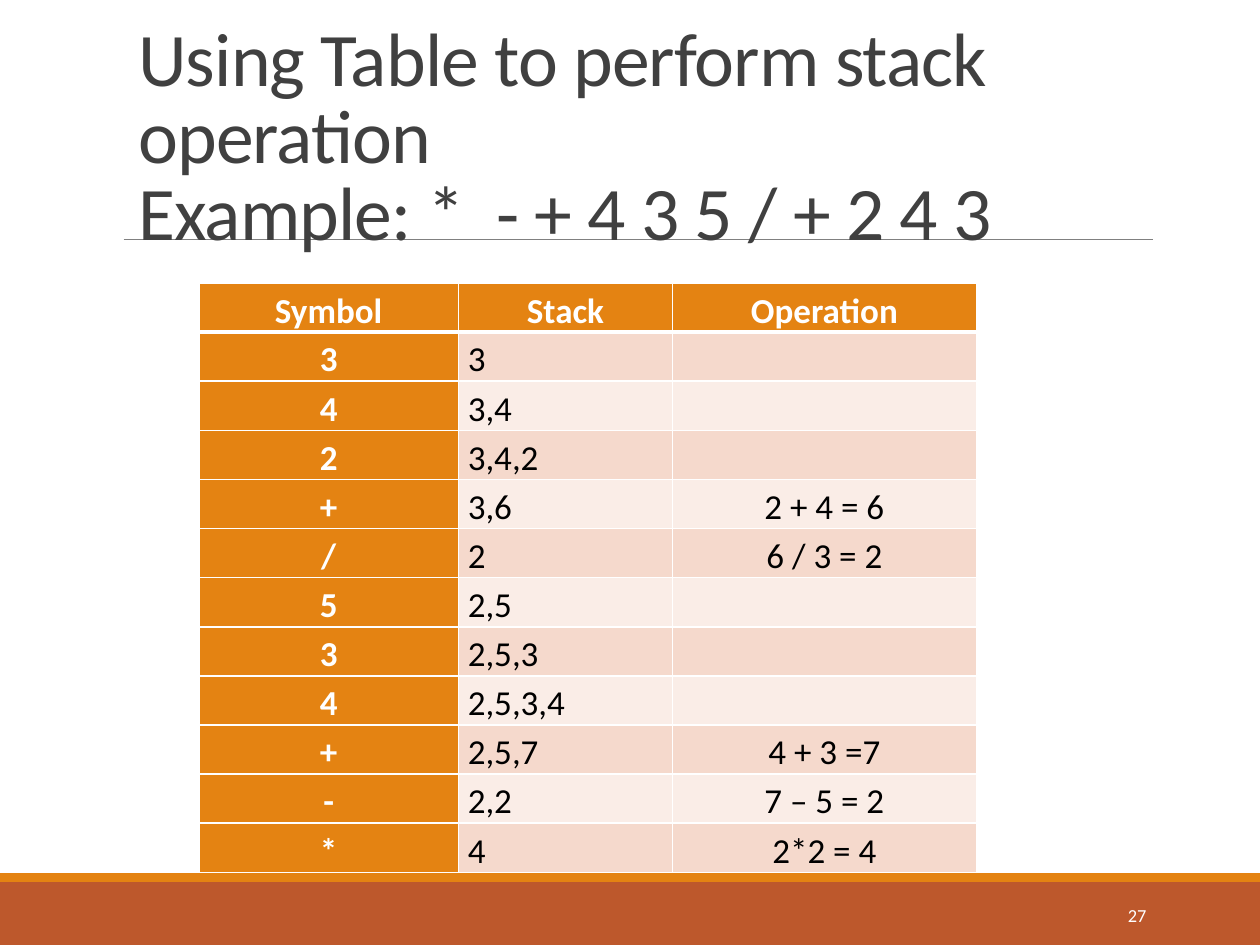
from dataclasses import dataclass

from lxml.etree import SubElement
from pptx import Presentation
from pptx.dml.color import RGBColor
from pptx.enum.shapes import MSO_CONNECTOR, MSO_SHAPE
from pptx.enum.text import MSO_ANCHOR, PP_ALIGN
from pptx.oxml.ns import qn
from pptx.util import Cm, Pt


@dataclass(frozen=True)
class Theme:
    font: str = "Calibri"
    orange: str = "E48312"
    rust: str = "BD582C"
    bands: tuple = ("F5D9CC", "FAEDE7")
    rule: str = "808080"
    heading: str = "404040"
    body: str = "000000"
    white: str = "FFFFFF"
    title_size: float = 43.2
    table_size: float = 20
    number_size: float = 10.5


theme = Theme()


def write(frame, text, *, size, color, bold=False, align=PP_ALIGN.LEFT,
          spacing=1.0, tracking=None):
    paragraph = frame.paragraphs[0]
    paragraph.text = text
    paragraph.alignment = align
    paragraph.line_spacing = spacing
    for run in paragraph.runs:
        run.font.name = theme.font
        run.font.size = Pt(size)
        run.font.bold = bold
        run.font.color.rgb = RGBColor.from_string(color)
        if tracking is not None:
            run.font._element.set("spc", str(int(tracking * 100)))


def add_border(cell, side, points):
    line = SubElement(cell._tc.get_or_add_tcPr(), qn(f"a:ln{side}"), w=str(Pt(points)))
    fill = SubElement(line, qn("a:solidFill"))
    SubElement(fill, qn("a:srgbClr"), val=theme.white)


deck = Presentation()
deck.slide_width, deck.slide_height = Cm(25.4), Cm(19.05)
slide = deck.slides.add_slide(deck.slide_layouts[6])

# Footer bands
for top, height, color in ((17.78, 1.27, theme.rust), (17.6, 0.18, theme.orange)):
    band = slide.shapes.add_shape(MSO_SHAPE.RECTANGLE, 0, Cm(top), deck.slide_width, Cm(height))
    band.shadow.inherit = False
    band.fill.solid()
    band.fill.fore_color.rgb = RGBColor.from_string(color)
    band.line.fill.background()

# Rule under the title
rule = slide.shapes.add_connector(MSO_CONNECTOR.STRAIGHT, Cm(2.49), Cm(4.83), Cm(23.24), Cm(4.83))
rule.line.color.rgb = RGBColor.from_string(theme.rule)
rule.line.width = Pt(0.5)
SubElement(rule._element.spPr, qn("a:effectLst"))

# Title
title = slide.shapes.add_textbox(Cm(2.54), Cm(2.11), Cm(19.51), Cm(3.18)).text_frame
title.word_wrap = True
title.vertical_anchor = MSO_ANCHOR.BOTTOM
write(title, "Using Table to perform stack operation\vExample: *  - + 4 3 5 / + 2 4 3",
      size=theme.title_size, color=theme.heading, spacing=0.85, tracking=-0.5)

# Slide number
number = slide.shapes.add_textbox(Cm(20.62), Cm(17.93), Cm(2.74), Cm(1.02)).text_frame
number.word_wrap = True
number.vertical_anchor = MSO_ANCHOR.MIDDLE
write(number, "27", size=theme.number_size, color=theme.white, align=PP_ALIGN.RIGHT)

# Stack table
steps = [
    ("Symbol", "Stack", "Operation"),
    ("3", "3", ""),
    ("4", "3,4", ""),
    ("2", "3,4,2", ""),
    ("+", "3,6", "2 + 4 = 6"),
    ("/", "2", "6 / 3 = 2"),
    ("5", "2,5", ""),
    ("3", "2,5,3", ""),
    ("4", "2,5,3,4", ""),
    ("+", "2,5,7", "4 + 3 =7"),
    ("-", "2,2", "7 – 5 = 2"),
    ("*", "4", "2*2 = 4"),
]
widths = (5.23, 4.32, 6.12)
header_height, step_height = 0.97, 0.99
table_height = header_height + step_height * (len(steps) - 1)
stack_table = slide.shapes.add_table(len(steps), len(widths), Cm(4.01), Cm(5.72),
                                     Cm(sum(widths)), Cm(table_height)).table
for column, width in zip(stack_table.columns, widths):
    column.width = Cm(width)

for r, step in enumerate(steps):
    stack_table.rows[r].height = Cm(step_height if r else header_height)
    for c, text in enumerate(step):
        cell = stack_table.cell(r, c)
        heading = r == 0 or c == 0
        for side in "LRTB":
            heavy = (r == 0 and side == "B") or (r == 1 and side == "T")
            add_border(cell, side, 3 if heavy else 1)
        cell.fill.solid()
        cell.fill.fore_color.rgb = RGBColor.from_string(
            theme.orange if heading else theme.bands[(r - 1) % 2])
        cell.margin_left = cell.margin_right = Cm(0.19)
        cell.margin_top = cell.margin_bottom = 0
        write(cell.text_frame, text, size=theme.table_size, bold=heading, spacing=1.15,
              color=theme.white if heading else theme.body,
              align=PP_ALIGN.LEFT if r and c == 1 else PP_ALIGN.CENTER)

deck.save("out.pptx")
